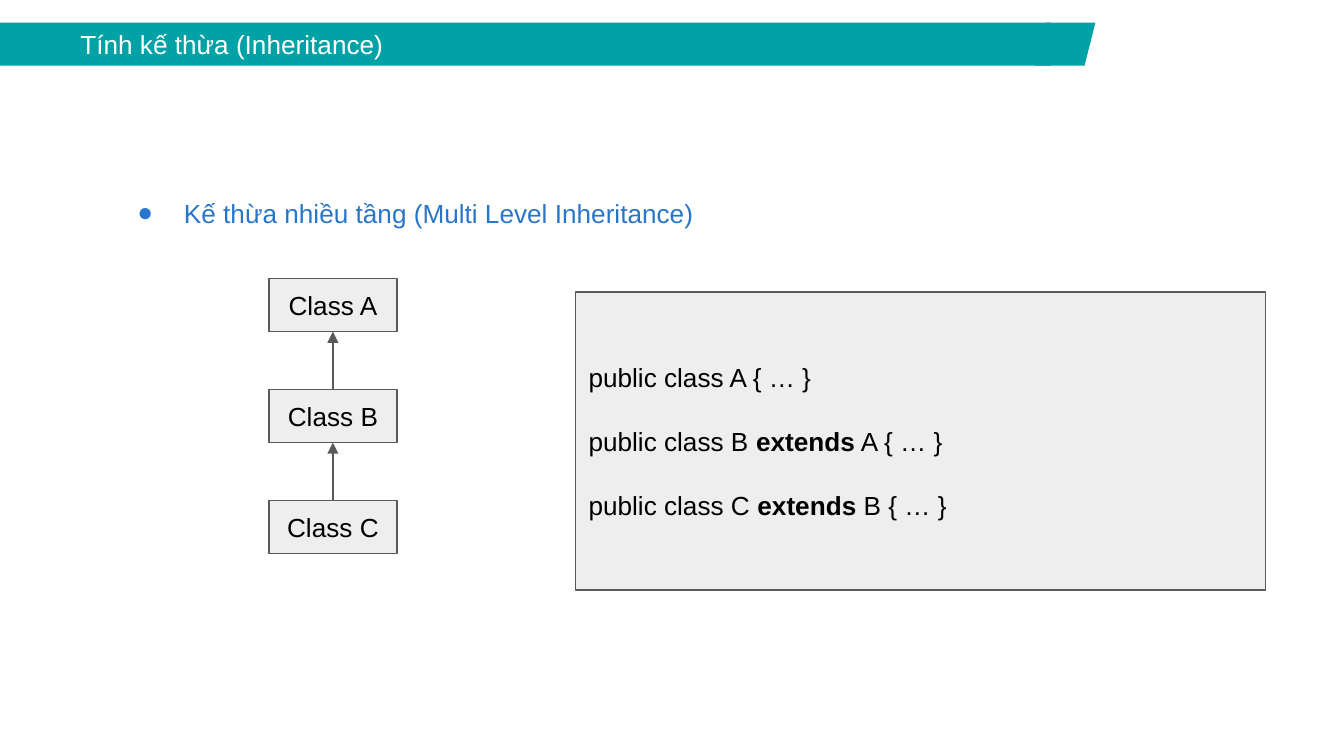
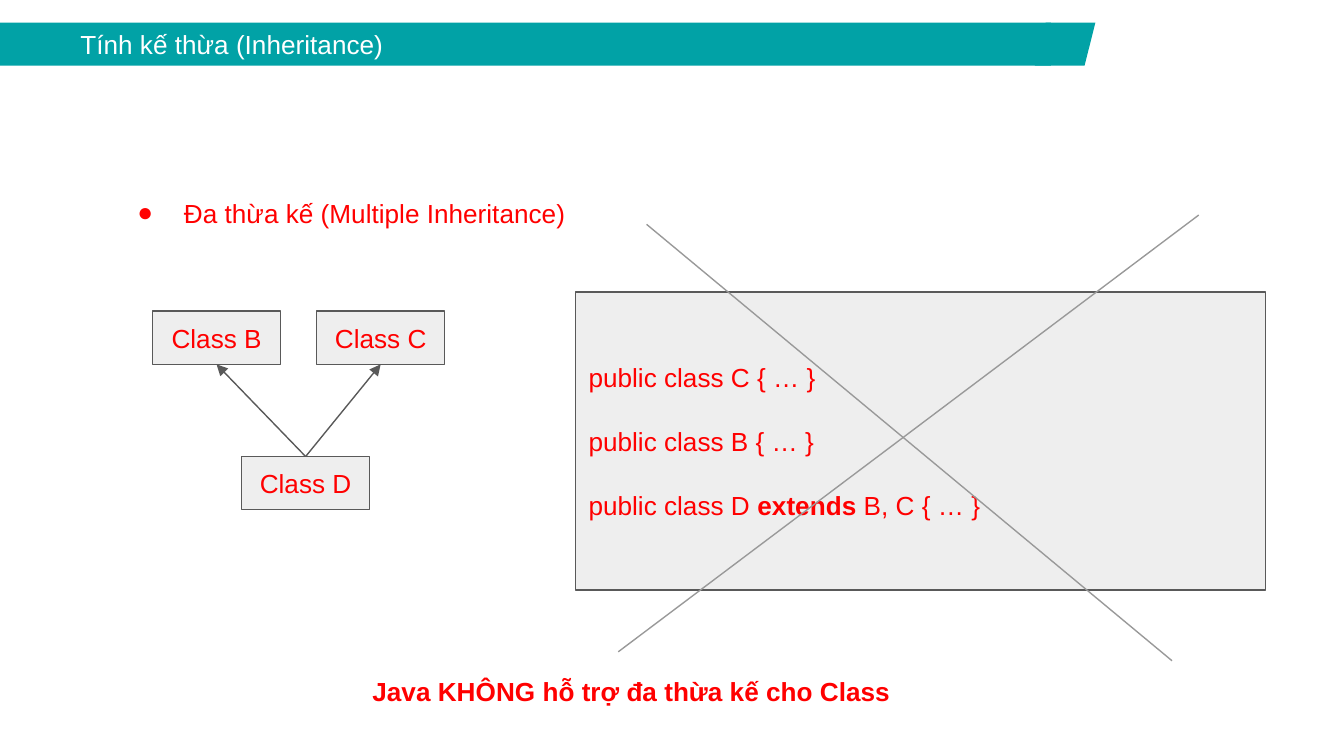
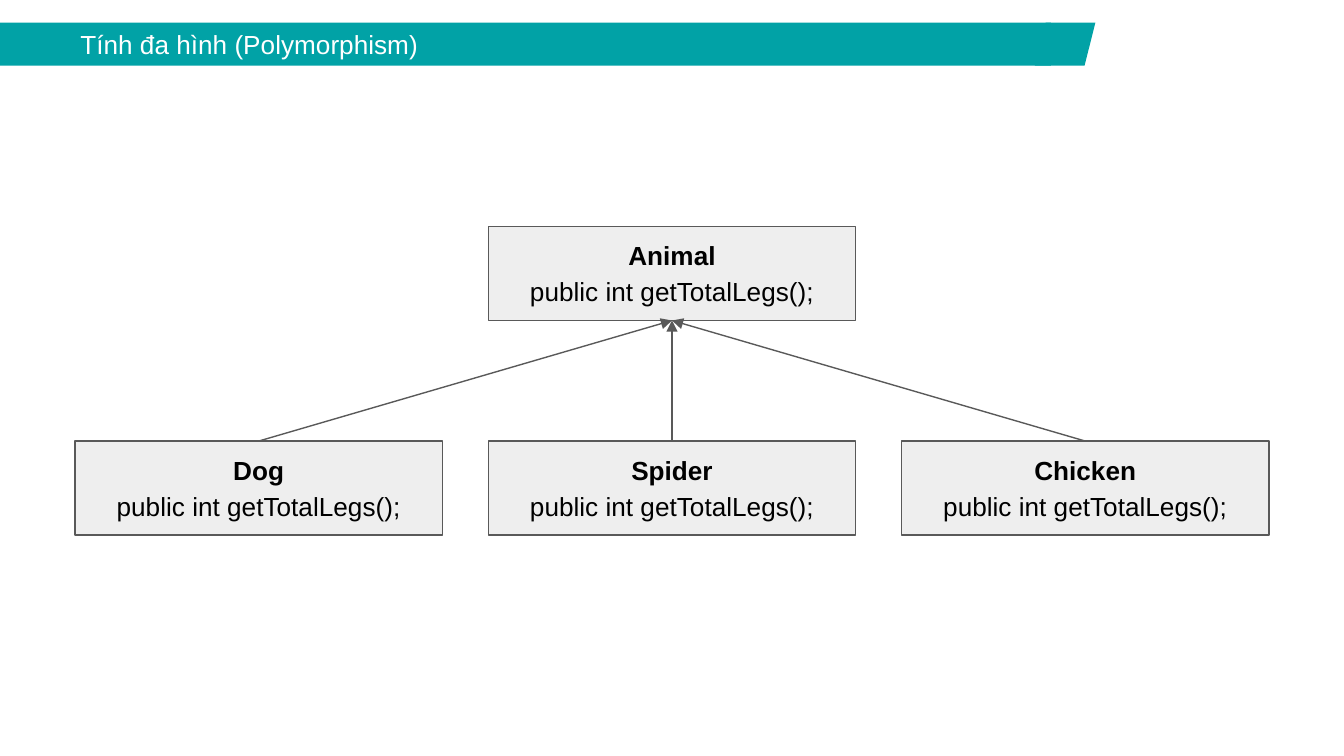
from lxml import etree
from pptx import Presentation
from pptx.dml.color import RGBColor
from pptx.enum.shapes import MSO_CONNECTOR, MSO_SHAPE
from pptx.enum.text import MSO_ANCHOR, PP_ALIGN
from pptx.oxml.ns import qn
from pptx.util import Pt

RECTANGLE = MSO_SHAPE.RECTANGLE
PARALLELOGRAM = MSO_SHAPE.PARALLELOGRAM
STRAIGHT = MSO_CONNECTOR.STRAIGHT
MIDDLE, TOP = MSO_ANCHOR.MIDDLE, MSO_ANCHOR.TOP
LEFT, CENTER = PP_ALIGN.LEFT, PP_ALIGN.CENTER

# Shared look
FONT = "Arial"
FONT_SIZE = 14
INSET = 7.2
LINE_WIDTH = 0.75
TEAL, WHITE, BLACK = "01A2A6", "FFFFFF", "000000"
BLUE, RED = "2876C9", "FF0000"
PANEL, BORDER, STRIKE = "EEEEEE", "595959", "999999"

# Shared sizes: (left, top, width, height) or (width, height)
BAND = (0, 12.1, 563, 23.1)
BAND_TIP = (554.4, 12.1, 32.4, 23.1)
HEADING = (55.5, 81.5, 377, 50.5)
CODE = (308.2, 156.4, 369.8, 159.8)
CLASS_SIZE = (68.5, 28.5)
ANIMAL_SIZE = (196.8, 50.4)
SIDE_TOP, SIDE_BOTTOM = 0, 2


def color(value):
    return RGBColor.from_string(value)


def write(shape, lines, text_color, align=LEFT, anchor=MIDDLE):
    """Write one paragraph per line; parts between ** marks are bold."""
    frame = shape.text_frame
    frame.word_wrap = True
    frame.vertical_anchor = anchor
    frame.margin_left = frame.margin_right = Pt(INSET)
    frame.margin_top = frame.margin_bottom = Pt(INSET)
    for number, line in enumerate(lines):
        para = frame.add_paragraph() if number else frame.paragraphs[0]
        para.alignment = align
        for index, part in enumerate(line.split("**")):
            if not part:
                continue
            span = para.add_run()
            span.text = part
            span.font.name = FONT
            span.font.size = Pt(FONT_SIZE)
            span.font.bold = index % 2 == 1
            span.font.color.rgb = color(text_color)
    return frame.paragraphs


def add_block(page, kind, area, fill, border=None):
    shape = page.shapes.add_shape(kind, *map(Pt, area))
    shape.shadow.inherit = False
    shape.fill.solid()
    shape.fill.fore_color.rgb = color(fill)
    if border:
        shape.line.color.rgb = color(border)
        shape.line.width = Pt(LINE_WIDTH)
    else:
        shape.line.fill.background()
    return shape


def add_page(deck, title):
    """Add a blank page with the teal title band."""
    page = deck.slides.add_slide(deck.slide_layouts[6])
    band = add_block(page, RECTANGLE, BAND, TEAL)
    para = write(band, [title], WHITE)[0]
    para._p.get_or_add_pPr().set("indent", str(Pt(36)))
    add_block(page, PARALLELOGRAM, BAND_TIP, TEAL)
    return page


def add_text(page, area, text, text_color, align=LEFT):
    box = page.shapes.add_textbox(*map(Pt, area))
    para = write(box, [text], text_color, align, TOP)[0]
    para.line_spacing = 2.0
    para.space_before = Pt(10)
    return para


def add_heading(page, text, text_color):
    para = add_text(page, HEADING, text, text_color)
    props = para._p.get_or_add_pPr()
    props.set("marL", str(Pt(36)))
    props.set("indent", str(Pt(-25)))
    bullet_color = etree.SubElement(props, qn("a:buClr"))
    etree.SubElement(bullet_color, qn("a:srgbClr"), val=text_color)
    etree.SubElement(props, qn("a:buFont"), typeface=FONT)
    etree.SubElement(props, qn("a:buChar"), char="●")


def add_code(page, lines, text_color):
    panel = add_block(page, RECTANGLE, CODE, PANEL, BORDER)
    for para in write(panel, lines, text_color)[1:]:
        para.space_before = Pt(17.5)


def add_class(page, left, top, name, text_color):
    box = add_block(page, RECTANGLE, (left, top, *CLASS_SIZE), PANEL, BORDER)
    write(box, [name], text_color, CENTER)
    return box


def add_animal(page, left, top, name):
    box = add_block(page, RECTANGLE, (left, top, *ANIMAL_SIZE), PANEL, BORDER)
    lines = [f"**{name}**", "public int getTotalLegs();"]
    write(box, lines, BLACK, CENTER)[1].line_spacing = 1.15
    return box


def add_line(page, line_color, ends=(0, 0, 0, 0)):
    line = page.shapes.add_connector(STRAIGHT, *map(Pt, ends))
    line.line.color.rgb = color(line_color)
    line.line.width = Pt(LINE_WIDTH)
    etree.SubElement(line._element.spPr, qn("a:effectLst"))
    return line


def add_arrow(page, child, parent):
    """Point from the top of the child box to the bottom of its parent."""
    arrow = add_line(page, BORDER)
    arrow.begin_connect(child, SIDE_TOP)
    arrow.end_connect(parent, SIDE_BOTTOM)
    etree.SubElement(arrow.line._get_or_add_ln(), qn("a:tailEnd"), type="triangle")


def build_multi_level(deck):
    page = add_page(deck, "Tính kế thừa (Inheritance)")
    add_heading(page, "Kế thừa nhiều tầng (Multi Level Inheritance)", BLUE)
    add_code(page, ["public class A { … }",
                    "public class B **extends** A { … }",
                    "public class C **extends** B { … }"], BLACK)
    chain = [add_class(page, 144.1, 149.2 + 59.4 * level, f"Class {letter}", BLACK)
             for level, letter in enumerate("ABC")]
    for parent, child in zip(chain, chain[1:]):
        add_arrow(page, child, parent)


def build_multiple(deck):
    page = add_page(deck, "Tính kế thừa (Inheritance)")
    add_heading(page, "Đa thừa kế (Multiple Inheritance)", RED)
    add_code(page, ["public class C { … }",
                    "public class B { … }",
                    "public class D **extends** B, C { … }"], RED)
    parents = [add_class(page, left, 166.7, name, RED)
               for left, name in ((169.7, "Class C"), (81.8, "Class B"))]
    child = add_class(page, 129.5, 244.6, "Class D", RED)
    for parent in parents:
        add_arrow(page, child, parent)
    add_text(page, (149.8, 337.7, 377, 50.5),
             "**Java KHÔNG hỗ trợ đa thừa kế cho Class**", RED, CENTER)
    # Cross over the invalid code
    add_line(page, STRIKE, (346.4, 120.2, 627.9, 354))
    add_line(page, STRIKE, (331.2, 349.2, 642.2, 115.2))


def build_polymorphism(deck):
    page = add_page(deck, "Tính đa hình (Polymorphism)")
    first_left, step = 40.2, 221.4
    parent = add_animal(page, first_left + step, 121.3, "Animal")
    children = [add_animal(page, first_left + step * column, 236.3, name)
                for column, name in enumerate(("Dog", "Spider", "Chicken"))]
    for child in children:
        add_arrow(page, child, parent)


def main():
    deck = Presentation()
    deck.slide_width, deck.slide_height = Pt(720), Pt(405)
    build_multi_level(deck)
    build_multiple(deck)
    build_polymorphism(deck)
    deck.save("out.pptx")


if __name__ == "__main__":
    main()
